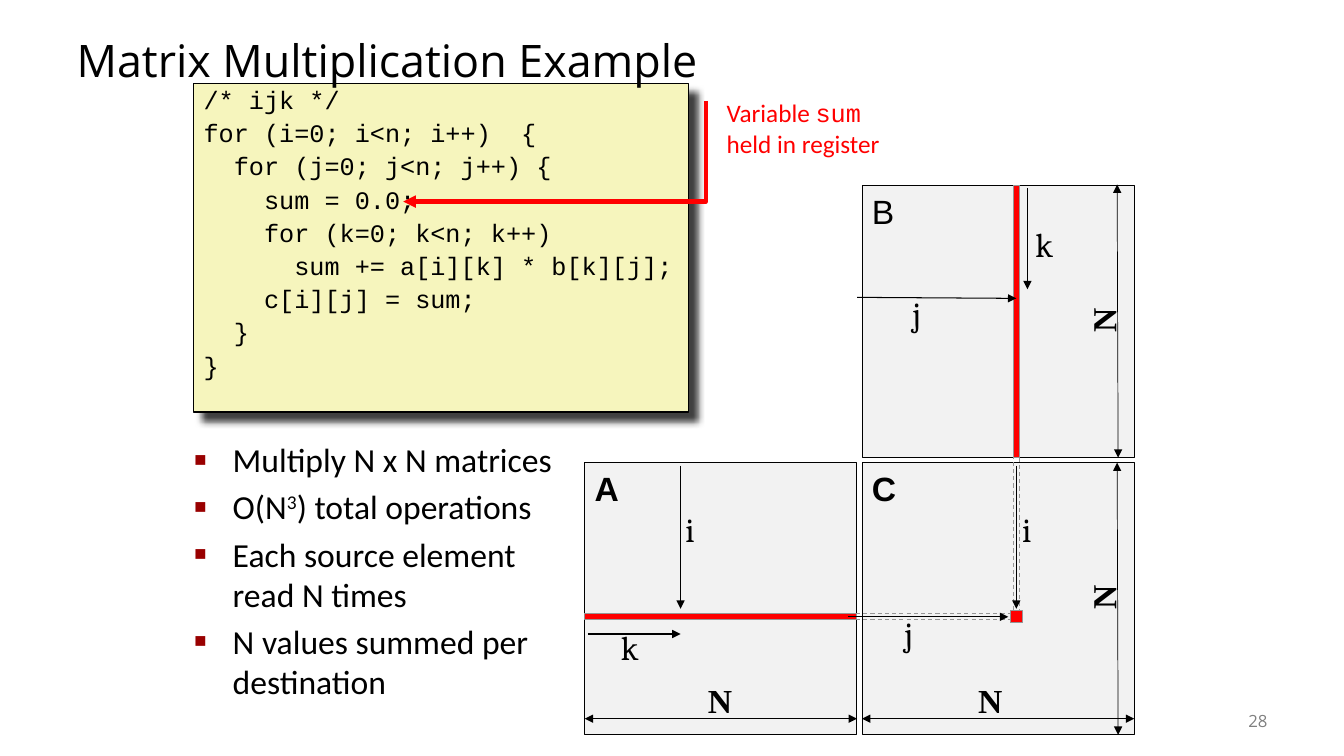
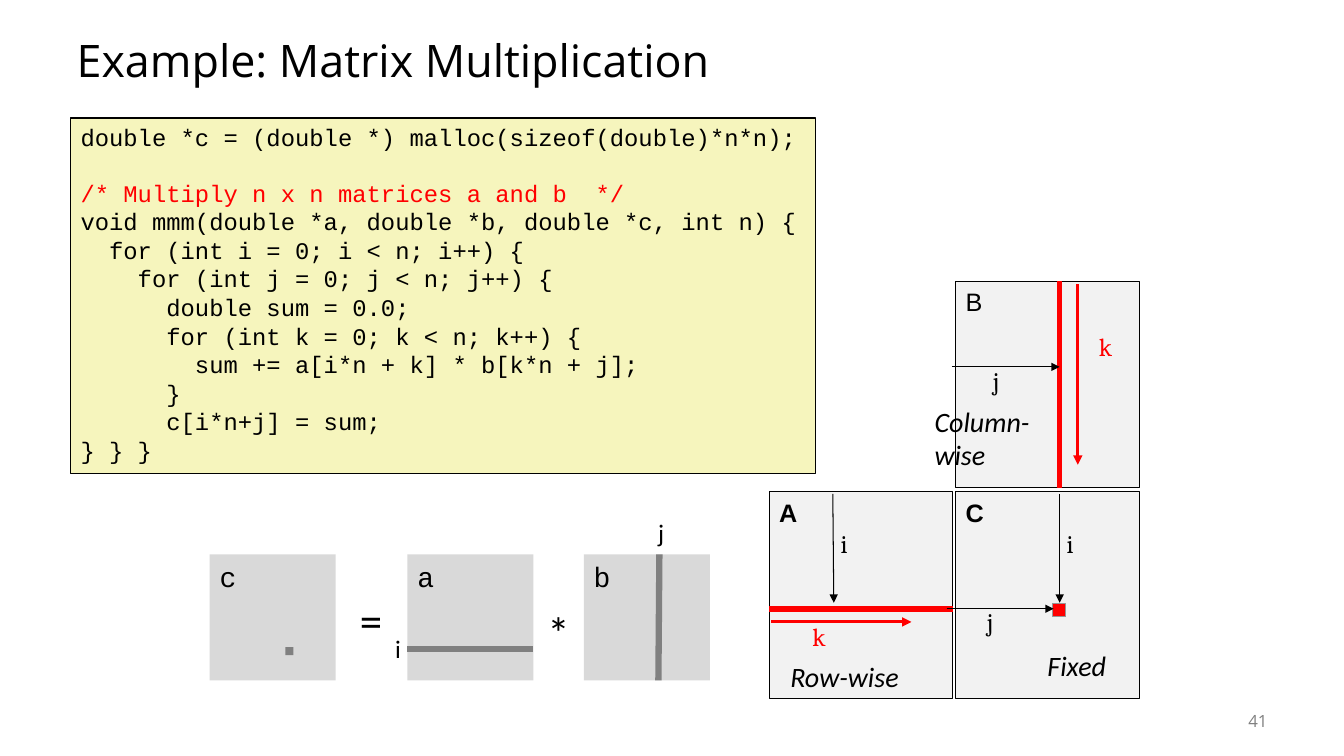
from dataclasses import dataclass
from typing import Iterable, Optional

from lxml import etree
from pptx import Presentation
from pptx.dml.color import RGBColor
from pptx.enum.dml import MSO_LINE
from pptx.enum.shapes import MSO_CONNECTOR, MSO_SHAPE
from pptx.enum.text import MSO_ANCHOR, MSO_AUTO_SIZE, PP_ALIGN
from pptx.oxml.ns import qn
from pptx.shapes.autoshape import Shape
from pptx.slide import Slide
from pptx.text.text import TextFrame
from pptx.util import Inches, Pt

RECTANGLE, STRAIGHT = MSO_SHAPE.RECTANGLE, MSO_CONNECTOR.STRAIGHT
LEFT, CENTER, RIGHT = PP_ALIGN.LEFT, PP_ALIGN.CENTER, PP_ALIGN.RIGHT
TOP, MIDDLE = MSO_ANCHOR.TOP, MSO_ANCHOR.MIDDLE
FIXED_SIZE, GROW = MSO_AUTO_SIZE.NONE, MSO_AUTO_SIZE.SHAPE_TO_FIT_TEXT
DASH = MSO_LINE.DASH

COLORS = {
    "ink": "000000", "red": "FF0000", "code": "F6F5BD", "matrix": "F2F2F2",
    "small": "D9D9D9", "mark": "808080", "edge": "969696",
    "bullet": "990000", "paper": "FFFFFF",
}
TITLE_FONT, BODY_FONT, CODE_FONT = "Open Sans", "Calibri", "Courier New"
INDEX_FONT, MATRIX_FONT, SIZE_FONT = "Cambria", "Arial", "Times New Roman"
THIN, HAIR = 0.74, 0.51


@dataclass
class Box:
    left: float
    top: float
    width: float
    height: float
    fill: str
    edge: Optional[str] = None
    weight: float = THIN


@dataclass
class Label:
    text: str
    left: float
    top: float
    width: float
    height: float
    font: str = INDEX_FONT
    size: float = 24
    color: str = "ink"
    bold: bool = False
    italic: bool = False
    wrap: bool = False
    padded: bool = True
    rotation: int = 0


@dataclass
class Line:
    x1: float
    y1: float
    x2: float
    y2: float
    color: str = "ink"
    weight: float = THIN
    head: bool = False
    tail: bool = True
    dashed: bool = False


def rgb(name: str) -> RGBColor:
    return RGBColor.from_string(COLORS[name])


def place(left: float, top: float, width: float, height: float) -> list[int]:
    return [Inches(length) for length in (left, top, width, height)]


def format_text(frame: TextFrame, font: str, size: float, color: str = "ink",
                bold: bool = False, italic: bool = False, align=LEFT) -> None:
    for paragraph in frame.paragraphs:
        paragraph.alignment = align
        for run in paragraph.runs:
            run.font.name, run.font.size = font, Pt(size)
            run.font.bold, run.font.italic = bold, italic
            run.font.color.rgb = rgb(color)


def add_box(slide: Slide, box: Box) -> Shape:
    shape = slide.shapes.add_shape(
        RECTANGLE, *place(box.left, box.top, box.width, box.height))
    shape.shadow.inherit = False
    shape.fill.solid()
    shape.fill.fore_color.rgb = rgb(box.fill)
    if box.edge:
        shape.line.color.rgb = rgb(box.edge)
        shape.line.width = Pt(box.weight)
    else:
        shape.line.fill.background()
    shape.text_frame.vertical_anchor = TOP
    return shape


def add_label(slide: Slide, label: Label) -> None:
    shape = slide.shapes.add_textbox(
        *place(label.left, label.top, label.width, label.height))
    shape.rotation = label.rotation
    frame = shape.text_frame
    frame.word_wrap = label.wrap
    frame.auto_size = GROW
    if not label.padded:
        frame.margin_left = frame.margin_right = 0
        frame.margin_top = frame.margin_bottom = 0
    frame.text = label.text
    format_text(frame, label.font, label.size, label.color, label.bold,
                label.italic, LEFT if label.padded else CENTER)


def add_arrowheads(shape, head: bool, tail: bool) -> None:
    outline = shape.element.spPr.find(qn("a:ln"))
    for tag, wanted in (("a:headEnd", head), ("a:tailEnd", tail)):
        if wanted:
            etree.SubElement(outline, qn(tag), type="triangle")


def add_line(slide: Slide, line: Line) -> None:
    connector = slide.shapes.add_connector(
        STRAIGHT, *place(line.x1, line.y1, line.x2, line.y2))
    connector.line.color.rgb = rgb(line.color)
    connector.line.width = Pt(line.weight)
    if line.dashed:
        connector.line.dash_style = DASH
    add_arrowheads(connector, line.head, line.tail)
    etree.SubElement(connector.element.spPr, qn("a:effectLst"))


def draw(slide: Slide, parts: Iterable) -> None:
    drawers = {Box: add_box, Label: add_label, Line: add_line}
    for part in parts:
        drawers[type(part)](slide, part)


def add_titled_slide(deck, title: str, number: str) -> Slide:
    slide = deck.slides.add_slide(deck.slide_layouts[5])
    heading = slide.shapes.title
    heading.left, heading.top, heading.width, heading.height = place(
        0.66, 0.25, 12, 0.75)
    frame = heading.text_frame
    frame.text = title
    frame.auto_size, frame.vertical_anchor = FIXED_SIZE, MIDDLE
    frame.paragraphs[0].line_spacing = 0.9
    format_text(frame, TITLE_FONT, 32)
    footer = slide.shapes.add_textbox(*place(11.67, 6.95, 1, 0.4)).text_frame
    footer.word_wrap, footer.vertical_anchor = True, MIDDLE
    footer.text = number
    format_text(footer, TITLE_FONT, 12, "mark", align=RIGHT)
    return slide


def add_matrices(slide: Slide, left: float, top: float, width: float,
                 height: float, gap_x: float, gap_y: float, size: float) -> None:
    """A sits left of C, and B sits above C."""
    for name, column, row in (("A", 0, 1), ("B", 1, 0), ("C", 1, 1)):
        matrix = add_box(slide, Box(left + column * (width + gap_x),
                                    top + row * (height + gap_y),
                                    width, height, "matrix", "ink"))
        matrix.text_frame.text = name
        format_text(matrix.text_frame, MATRIX_FONT, size, bold=name != "B")


def add_code(slide: Slide, box: Box, code: str, size: float) -> Shape:
    panel = add_box(slide, box)
    panel.text_frame.word_wrap = True
    panel.text_frame.text = code
    format_text(panel.text_frame, CODE_FONT, size)
    return panel


def bezier(start, pull1, pull2, end, steps: int = 24) -> list:
    points = []
    for step in range(1, steps + 1):
        t = step / steps
        weights = ((1 - t) ** 3, 3 * t * (1 - t) ** 2, 3 * t * t * (1 - t), t ** 3)
        points.append(tuple(
            sum(w * p[axis] for w, p in zip(weights, (start, pull1, pull2, end)))
            for axis in (0, 1)))
    return points


LOOP_CODE = """/* ijk */
for (i=0; i<n; i++)  {
  for (j=0; j<n; j++) {
    sum = 0.0;
    for (k=0; k<n; k++)
      sum += a[i][k] * b[k][j];
    c[i][j] = sum;
  }
}"""

FUNCTION_CODE = """double *c = (double *) malloc(sizeof(double)*n*n);
/* Multiply n x n matrices a and b  */
void mmm(double *a, double *b, double *c, int n) {
  for (int i = 0; i < n; i++) {
    for (int j = 0; j < n; j++) {
      double sum = 0.0;
      for (int k = 0; k < n; k++) {
        sum += a[i*n + k] * b[k*n + j];
      }
      c[i*n+j] = sum;
} } }"""


def build_example(deck) -> None:
    slide = add_titled_slide(deck, "Matrix Multiplication Example", "28")

    # Matrices with the row, column and element in use
    add_matrices(slide, 5.8, 1.84, 2.7, 2.7, 0.05, 0.05, 24)
    draw(slide, [Box(10.05, 1.84, 0.06, 2.7, "red", "edge")])
    guides = [(10.11, 4.54, 10.11, 6.09), (10.05, 4.51, 10.05, 6.06),
              (8.49, 6.09, 10.04, 6.09), (8.49, 6.15, 10.04, 6.15)]
    draw(slide, [Line(*ends, "edge", tail=False, dashed=True) for ends in guides])
    draw(slide, [Box(5.8, 6.09, 2.7, 0.06, "red", "edge"),
                 Box(10.02, 6.06, 0.12, 0.12, "red", "edge")])

    # Dimensions N
    spans = [(11.25, 7.13, 8.55, 7.13), (8.5, 7.13, 5.8, 7.13),
             (11.09, 4.54, 11.08, 1.83), (11.09, 7.29, 11.08, 4.59)]
    draw(slide, [Line(*ends, weight=HAIR, head=True) for ends in spans])
    for left, top, rotation in ((10.82, 2.98, 270), (10.82, 5.73, 270),
                                (7.02, 6.75, 0), (9.7, 6.75, 0)):
        add_label(slide, Label("N", left, top, 0.24, 0.4, SIZE_FONT, bold=True,
                               padded=False, rotation=rotation))

    # Index arrows
    draw(slide, [
        Line(6.75, 4.62, 6.75, 6.04), Label("i", 6.7, 5, 0.3, 0.51),
        Line(5.83, 6.29, 6.75, 6.29), Label("k", 6.06, 6.17, 0.39, 0.51),
        Line(10.19, 1.87, 10.19, 2.87), Label("k", 10.17, 2.17, 0.39, 0.51),
        Line(8.5, 2.95, 10.08, 2.96), Label("j", 8.95, 2.86, 0.28, 0.51),
        Line(10.08, 4.62, 10.08, 6.04), Label("i", 10.04, 5, 0.3, 0.51),
        Line(8.41, 6.12, 10, 6.12), Label("j", 8.87, 6.03, 0.28, 0.51),
    ])

    # Code panel with its shadow, the title in front
    panel = add_code(slide, Box(1.92, 0.83, 4.91, 3.26, "code", "ink", 1),
                     LOOP_CODE, 18)
    panel.text_frame.margin_top = Inches(0.1)
    for paragraph in panel.text_frame.paragraphs:
        paragraph.line_spacing, paragraph.space_before = 0.65, Pt(9.7)
    shadow = etree.SubElement(
        panel.element.spPr.find(qn("a:effectLst")), qn("a:outerShdw"),
        blurRad=str(Pt(5)), dist=str(Pt(8.5)), dir="2700000", algn="tl",
        rotWithShape="0")
    shade = etree.SubElement(shadow, qn("a:srgbClr"), val=COLORS["ink"])
    etree.SubElement(shade, qn("a:alpha"), val="75000")
    panel.element.addnext(slide.shapes.title.element)

    # Bulleted facts
    facts = slide.shapes.add_textbox(*place(1.83, 4.31, 3.98, 3.06))
    frame = facts.text_frame
    frame.word_wrap = True
    frame.text = ("Multiply N x N matrices\nO(N\nEach source element read N times\n"
                  "N values summed per destination")
    for piece in ("3", ") total operations"):
        frame.paragraphs[1].add_run().text = piece
    format_text(frame, BODY_FONT, 24)
    for paragraph in frame.paragraphs:
        paragraph.space_before = Pt(4.8)
    for run in facts.element.iter(qn("a:r")):
        if run.find(qn("a:t")).text == "3":
            run.find(qn("a:rPr")).set("baseline", "30000")
    for props in facts.element.iter(qn("a:pPr")):
        props.set("marL", str(Inches(0.38)))
        props.set("indent", str(-Inches(0.38)))
        tint = etree.SubElement(props, qn("a:buClr"))
        etree.SubElement(tint, qn("a:srgbClr"), val=COLORS["bullet"])
        etree.SubElement(props, qn("a:buSzPct"), val="60000")
        etree.SubElement(props, qn("a:buFont"), typeface=MATRIX_FONT)
        etree.SubElement(props, qn("a:buChar"), char="■")

    # Remark on the register, with its curved arrow
    remark = add_box(slide, Box(7.11, 0.92, 1.74, 0.7, "paper")).text_frame
    remark.word_wrap, remark.auto_size = False, GROW
    remark.text = "Variable \nheld in register"
    variable = remark.paragraphs[0].add_run()
    variable.text = "sum"
    format_text(remark, BODY_FONT, 18, "red")
    variable.font.name = CODE_FONT
    start, bend, tip = (7.16, 1.3), (5.54, 2.02), (4.15, 2.03)
    outline = slide.shapes.build_freeform(*start, scale=Inches(1))
    outline.add_line_segments(
        bezier(start, (6.6, 1.6), (6.04, 1.9), bend)
        + bezier(bend, (5.04, 2.14), (4.6, 2.08), tip), close=False)
    arrow = outline.convert_to_shape()
    arrow.shadow.inherit = False
    arrow.fill.background()
    arrow.line.color.rgb, arrow.line.width = rgb("red"), Pt(3)
    add_arrowheads(arrow, False, True)


def build_function(deck) -> None:
    slide = add_titled_slide(deck, "Example: Matrix Multiplication", "41")

    # Equation c = a * b
    for name, left in (("a", 4.04), ("b", 5.79), ("c", 2.08)):
        operand = add_box(slide, Box(left, 5.5, 1.25, 1.25, "small")).text_frame
        operand.text = name
        format_text(operand, CODE_FONT, 20)
    draw(slide, [
        Line(4.04, 6.44, 5.29, 6.44, "mark", 4.5, tail=False),
        Line(6.54, 5.5, 6.53, 6.75, "mark", 4.5, tail=False),
        Label("i", 3.82, 6.23, 0.26, 0.4, BODY_FONT, 18),
        Label("j", 6.43, 5.08, 0.27, 0.4, BODY_FONT, 18),
        Label("*", 5.33, 5.95, 0.43, 0.64, BODY_FONT, 32),
        Label("=", 3.47, 5.83, 0.43, 0.64, BODY_FONT, 32),
        Box(2.83, 6.42, 0.08, 0.08, "mark"),
    ])

    # Code panel, with a gap above the red remark
    panel = add_code(slide, Box(0.7, 1.17, 7.39, 3.53, "code", "ink", 1),
                     FUNCTION_CODE, 17)
    remark = panel.text_frame.paragraphs[1]
    remark.space_before = Pt(19.3)
    remark.runs[0].font.color.rgb = rgb("red")

    # Matrices with the row, column and element in use
    add_matrices(slide, 7.63, 2.79, 1.82, 2.05, 0.03, 0.04, 18)
    draw(slide, [Box(10.49, 2.79, 0.04, 2.05, "red", "red"),
                 Box(7.63, 6.02, 1.82, 0.05, "red", "red"),
                 Box(10.44, 5.99, 0.13, 0.13, "red", "edge")])

    # Index arrows
    draw(slide, [Line(8.26, 4.9, 8.27, 5.98), Line(9.44, 3.64, 10.51, 3.64),
                 Line(10.51, 4.9, 10.51, 5.98), Line(9.39, 6.04, 10.45, 6.04),
                 Line(7.65, 6.17, 9.04, 6.17, "red", 2.25),
                 Line(10.69, 2.82, 10.69, 4.61, "red", 2.25)])
    for name, left, top, width in (
            ("i", 8.24, 5.19, 0.36), ("k", 7.96, 6.11, 0.38), ("k", 10.8, 3.24, 0.43),
            ("j", 9.75, 3.57, 0.34), ("i", 10.48, 5.19, 0.32), ("j", 9.69, 5.97, 0.32)):
        add_label(slide, Label(name, left, top, width, 0.41, size=18, wrap=True,
                               color="red" if name == "k" else "ink"))

    # Access patterns
    for pattern, left, top, width, height in (
            ("Row-wise", 7.74, 6.49, 1.28, 0.43), ("Fixed", 10.29, 6.38, 0.79, 0.43),
            ("Column-\nwise", 9.17, 3.96, 1.22, 0.77)):
        add_label(slide, Label(pattern, left, top, width, height, BODY_FONT, 20,
                               italic=True, wrap="\n" in pattern))


deck = Presentation()
deck.slide_width, deck.slide_height = Inches(13.33), Inches(7.5)
build_example(deck)
build_function(deck)
deck.save("out.pptx")
